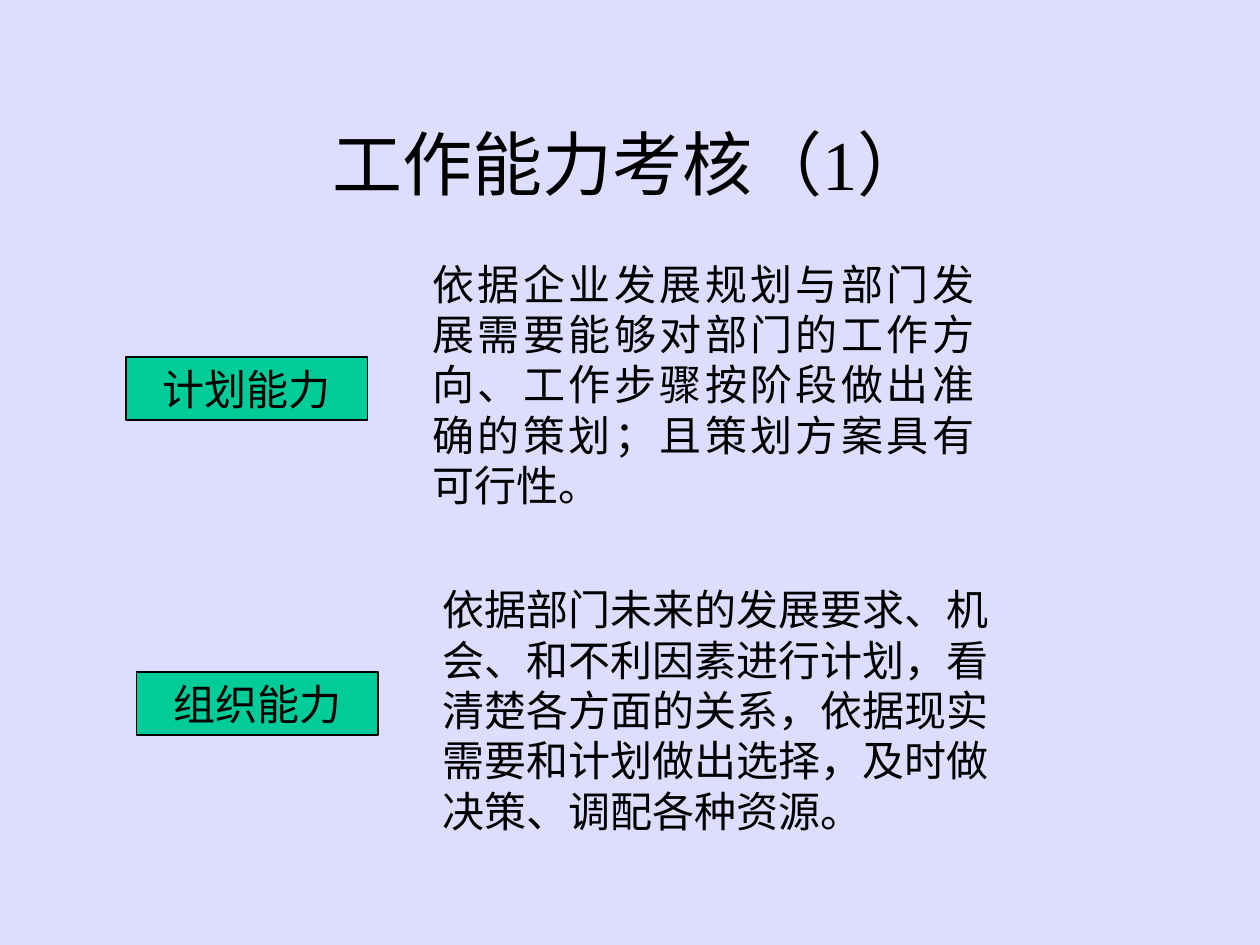
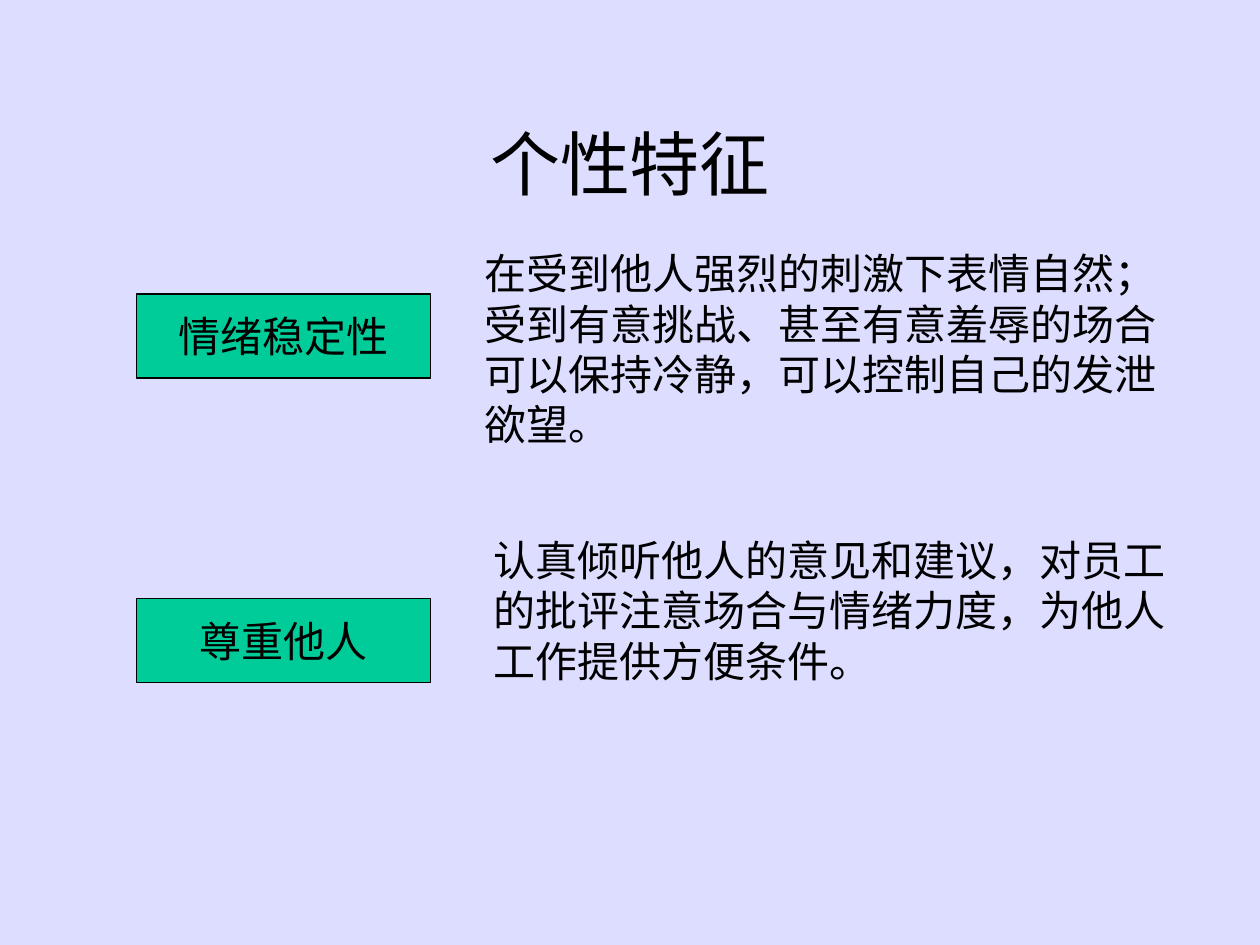
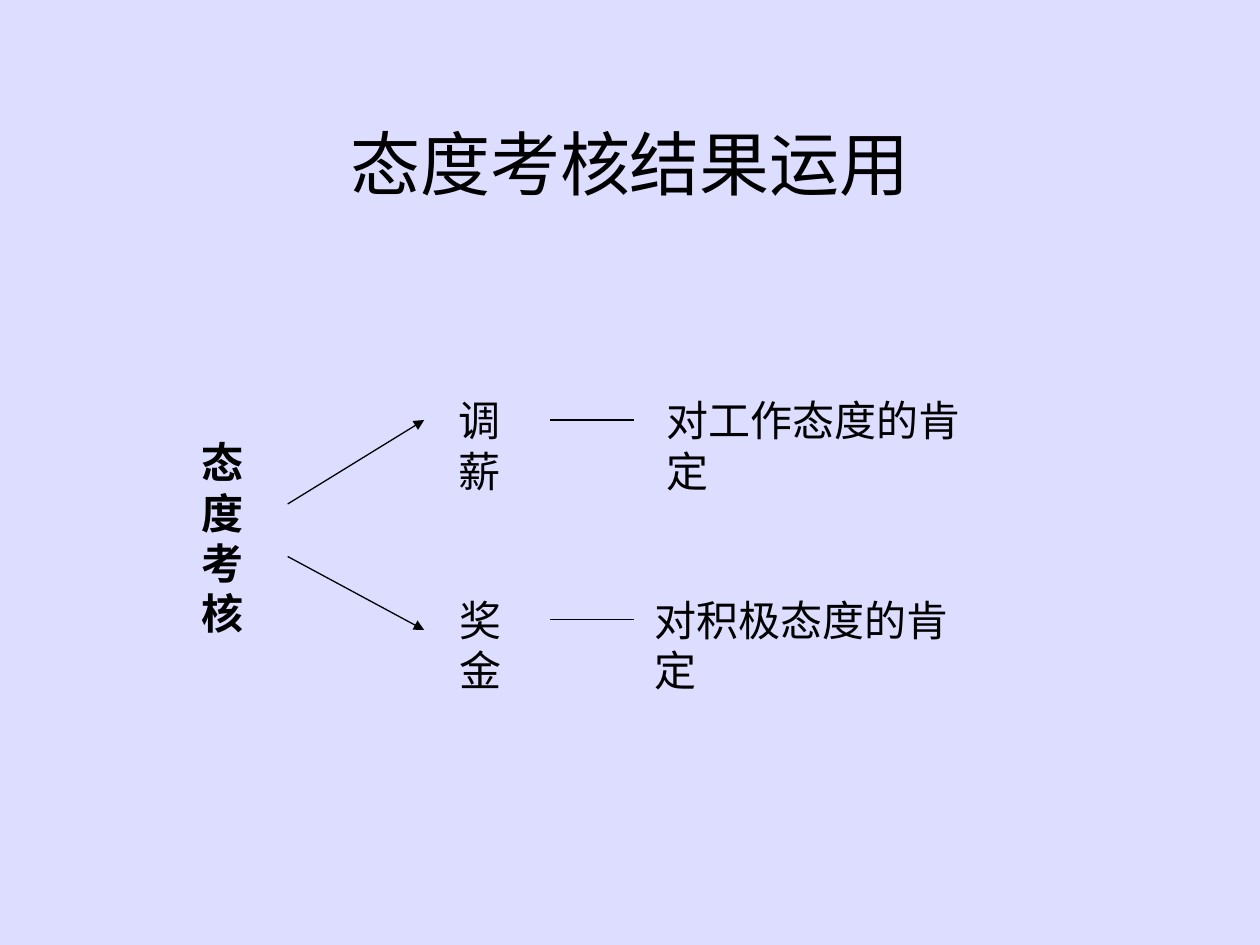
from lxml import etree
from pptx import Presentation
from pptx.dml.color import RGBColor
from pptx.enum.lang import MSO_LANGUAGE_ID
from pptx.enum.shapes import MSO_CONNECTOR, MSO_SHAPE
from pptx.enum.text import MSO_ANCHOR, MSO_AUTO_SIZE, PP_ALIGN
from pptx.oxml.ns import qn
from pptx.util import Inches, Pt

LEFT, CENTER, JUST = PP_ALIGN.LEFT, PP_ALIGN.CENTER, PP_ALIGN.JUSTIFY
MIDDLE, TOP = MSO_ANCHOR.MIDDLE, MSO_ANCHOR.TOP
GROW, FIXED = MSO_AUTO_SIZE.SHAPE_TO_FIT_TEXT, MSO_AUTO_SIZE.NONE
RECT, STRAIGHT = MSO_SHAPE.RECTANGLE, MSO_CONNECTOR.STRAIGHT
CHINESE = MSO_LANGUAGE_ID.SIMPLIFIED_CHINESE

WIDE, HIGH = Inches(10), Inches(7.5)
COLS, ROWS = 120, 90
PALE, GREEN, BLACK = "DDDDFF", "00CC99", "000000"
SERIF, SANS = "Times New Roman", "Noto Sans CJK SC"
HEAD, BODY = 40, 24
TITLE = (9, 8, 102, 15)

PLAN = ["依据企业发展规划与部门发展需要能够对部门的工作方向、工作步骤按阶段做出准确的策划；且策划方案具有可行性。"]
ORDER = ["依据部门未来的发展要求、机会、和不利因素进行计划，看清楚各方面的关系，依据现实需要和计划做出选择，及时做决策、调配各种资源。"]
CALM = ["在受到他人强烈的刺激下表情自然；", "受到有意挑战、甚至有意羞辱的场合",
        "可以保持冷静，可以控制自己的发泄", "欲望。"]
RESPECT = ["认真倾听他人的意见和建议，对员工", "的批评注意场合与情绪力度，为他人",
           "工作提供方便条件。"]


def paint(code):
    """Turn a hex string into a colour."""
    return RGBColor.from_string(code)


def grid(x, y):
    """Turn a column and a row into slide lengths."""
    return round(WIDE * x / COLS), round(HIGH * y / ROWS)


def place(shape, box):
    """Move a shape to a box of columns and rows."""
    shape.left, shape.top = grid(*box[:2])
    shape.width, shape.height = grid(*box[2:])


def write(shape, lines, size=BODY, align=LEFT, anchor=TOP, wrap=False,
          fit=GROW, face=SERIF, bold=False):
    """Fill a shape with one paragraph for each line."""
    frame = shape.text_frame
    frame.word_wrap, frame.auto_size = wrap, fit
    frame.vertical_anchor = anchor
    for i, line in enumerate(lines):
        para = frame.add_paragraph() if i else frame.paragraphs[0]
        para.alignment = align
        run = para.add_run()
        run.text = line
        font = run.font
        font.size, font.bold, font.name = Pt(size), bold, face
        font.language_id = CHINESE
        font.color.rgb = paint(BLACK)
        latin = font._element.find(qn("a:latin"))
        latin.addnext(latin.makeelement(qn("a:ea"), {"typeface": SANS}))


def note(slide, box, lines, **style):
    """Add a text box."""
    write(slide.shapes.add_textbox(*grid(*box[:2]), *grid(*box[2:])), lines, **style)


def tag(slide, box, label):
    """Add a green label."""
    shape = slide.shapes.add_shape(RECT, *grid(*box[:2]), *grid(*box[2:]))
    shape.shadow.inherit = False
    shape.fill.solid()
    shape.fill.fore_color.rgb = paint(GREEN)
    shape.line.color.rgb = paint(BLACK)
    shape.line.width = Pt(0.75)
    write(shape, [label], align=CENTER, anchor=MIDDLE, fit=FIXED)


def link(slide, start, end, arrow=False):
    """Draw a thin line, with an arrowhead if asked."""
    line = slide.shapes.add_connector(STRAIGHT, *grid(*start), *grid(*end))
    line.line.color.rgb = paint(BLACK)
    line.line.width = Pt(0.75)
    if arrow:
        etree.SubElement(line.line._get_or_add_ln(), qn("a:tailEnd"), type="triangle")
    etree.SubElement(line._element.spPr, qn("a:effectLst"))


def trait(slide, box, label, lines, size, drop, inset, **style):
    """Set a label at the left of a box and its meaning at the right."""
    x, y, w, h = box
    tag(slide, (x, y + drop, *size), label)
    note(slide, (x + inset, y, w - inset, h), lines, **style)


def branch(slide, box, term, reason, inset):
    """Join a term to its reason across a box."""
    x, y, w, h = box
    note(slide, (x, y, 10.3, h), [term])
    link(slide, (52.4, y + h / 2), (60.4, y + h / 2))
    note(slide, (x + inset, y, w - inset, h), [reason])


def flow(slide, box):
    """Show how the review leads to its two results."""
    x, y, w, h = box
    note(slide, (x, y + 4, 6.4, 20.4), "态度考核", bold=True)
    for start, end in ((11, 3), (16, 23)):
        link(slide, (x + 9.4, y + start), (x + 22.4, y + end), arrow=True)
    branch(slide, (x + 24.5, y, w - 24.5, 6), "调薪", "对工作态度的肯定", 19.8)
    branch(slide, (x + 24.6, y + h - 6, w - 25.7, 6), "奖金", "对积极态度的肯定", 18.6)


def page(deck, title):
    """Add a slide with its title."""
    slide = deck.slides.add_slide(deck.slide_layouts[5])
    write(slide.shapes.title, [title], HEAD, CENTER, MIDDLE, True, FIXED)
    return slide


def main():
    """Build the deck."""
    deck = Presentation()
    deck.slide_width, deck.slide_height = WIDE, HIGH
    back = deck.slide_master.background.fill
    back.solid()
    back.fore_color.rgb = paint(PALE)
    place(deck.slide_layouts[5].placeholders[0], TITLE)

    slide = page(deck, "工作能力考核（1）")
    size = (23, 6)
    trait(slide, (12, 24, 82, 25.2), "计划能力", PLAN, size, 10, 28, wrap=True, align=JUST)
    trait(slide, (13, 55, 84, 25.2), "组织能力", ORDER, size, 9, 28, wrap=True)

    slide = page(deck, "个性特征")
    size = (28, 8)
    trait(slide, (13, 23, 98.4, 20.4), "情绪稳定性", CALM, size, 5, 32, face=SANS)
    trait(slide, (13, 50.3, 99.2, 15.6), "尊重他人", RESPECT, size, 6.7, 32.8)

    flow(page(deck, "态度考核结果运用"), (18, 37, 78.6, 25))
    deck.save("out.pptx")


if __name__ == "__main__":
    main()
